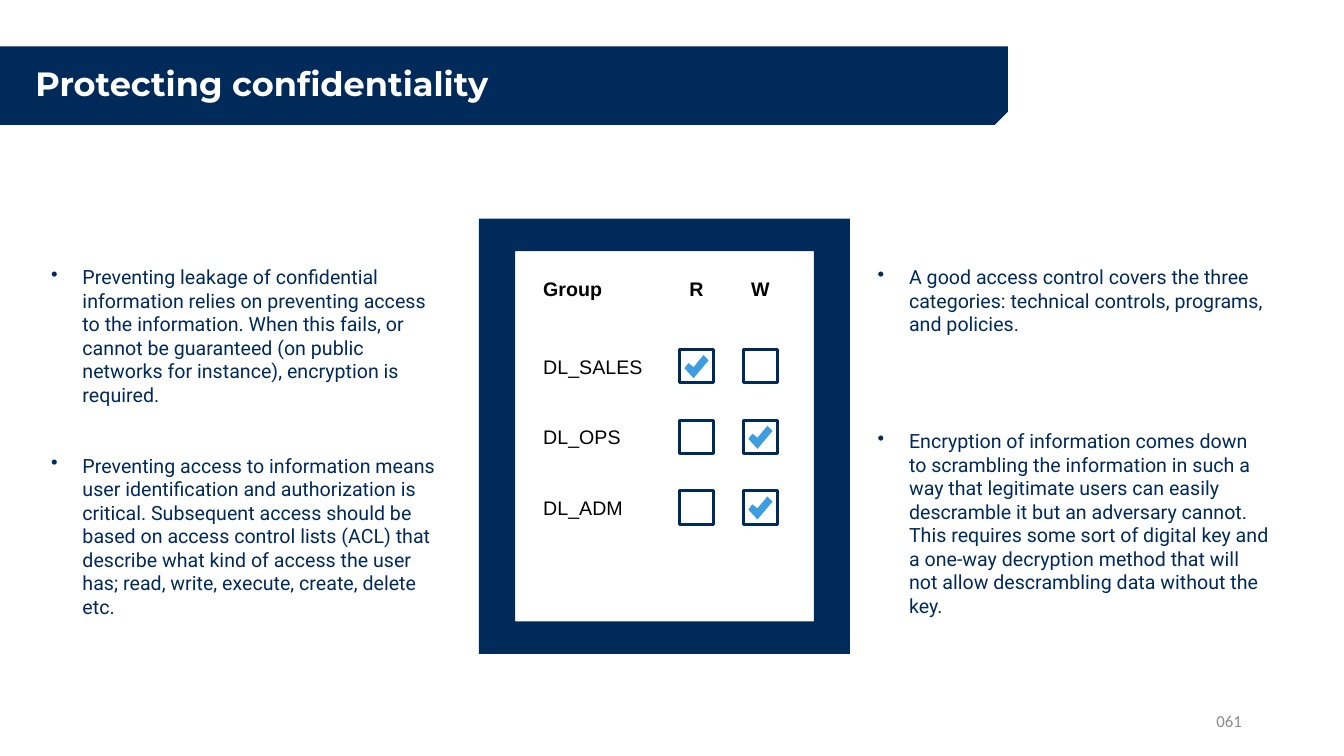
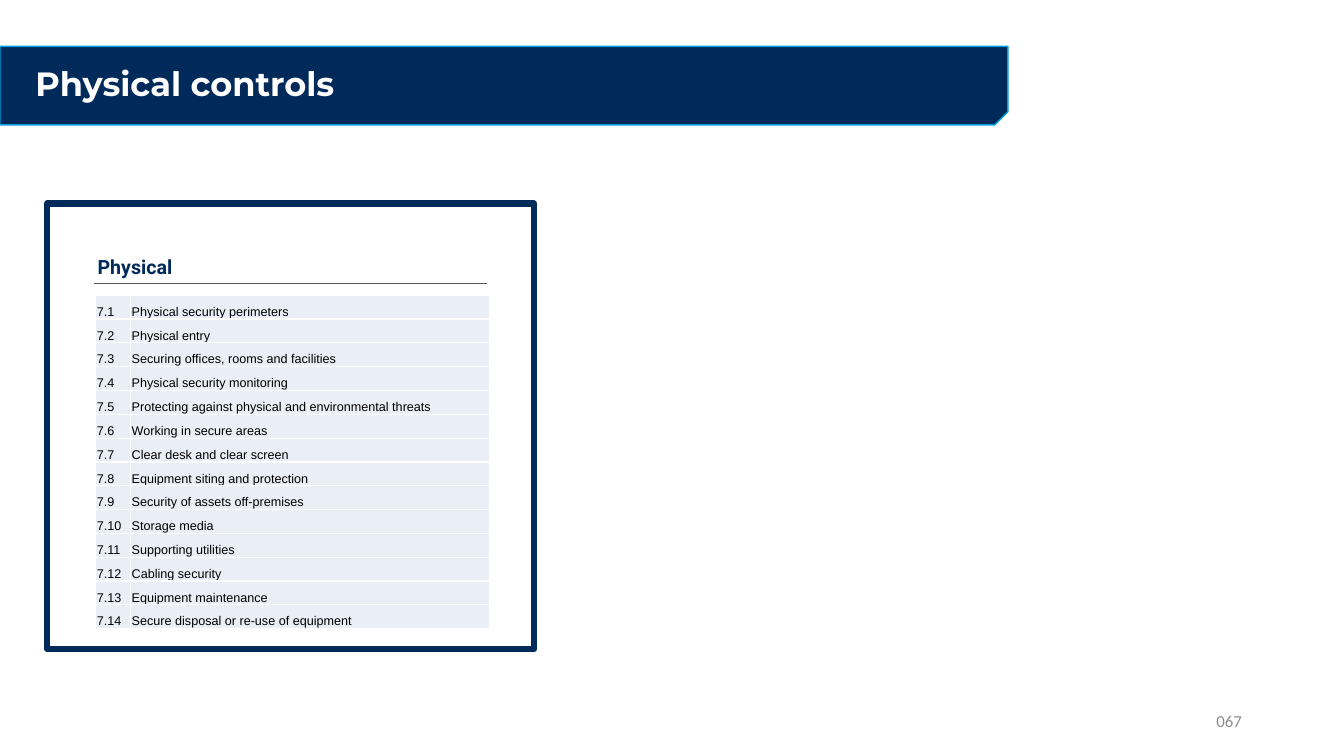
import typing

import lxml.etree
import pptx
import pptx.dml.color
import pptx.enum.shapes
import pptx.enum.text
import pptx.oxml.ns
import pptx.util

Cm = pptx.util.Cm
Pt = pptx.util.Pt
RGBColor = pptx.dml.color.RGBColor
Align = pptx.enum.text.PP_ALIGN
Anchor = pptx.enum.text.MSO_ANCHOR
Shape = pptx.enum.shapes.MSO_SHAPE
qn = pptx.oxml.ns.qn

NAVY = RGBColor(0x00, 0x2A, 0x5A)
CYAN = RGBColor(0x00, 0x9D, 0xE0)
SKY = RGBColor(0x3C, 0x9E, 0xE1)
PALE = RGBColor(0xEA, 0xEF, 0xF7)
WHITE = RGBColor(0xFF, 0xFF, 0xFF)
BLACK = RGBColor(0x00, 0x00, 0x00)
GREY = RGBColor(0x8C, 0x8C, 0x8C)
DARK_GREY = RGBColor(0x59, 0x59, 0x59)

PADDING = (0.25, 0.13)
TICK = [(0.61, 0.13), (0.48, 0), (0.23, 0.3), (0.1, 0.2), (0, 0.33), (0.23, 0.58)]

LEAKAGE_POINTS = [
    "Preventing leakage of confidential information relies on preventing access to the "
    "information. When this fails, or cannot be guaranteed (on public networks for instance), "
    "encryption is required.",
    "Preventing access to information means user identification and authorization is critical. "
    "Subsequent access should be based on access control lists (ACL) that describe what kind of "
    "access the user has; read, write, execute, create, delete etc.",
]
CONTROL_POINTS = [
    "A good access control covers the three categories: technical controls, programs, "
    "and policies.",
    "Encryption of information comes down to scrambling the information in such a way that "
    "legitimate users can easily descramble it but an adversary cannot. This requires some sort "
    "of digital key and a one-way decryption method that will not allow descrambling data "
    "without the key.",
]
PERMISSIONS = [
    ("DL_SALES", (True, False)),
    ("DL_OPS", (False, True)),
    ("DL_ADM", (False, True)),
]
PHYSICAL_CONTROLS = [
    "Physical security perimeters",
    "Physical entry",
    "Securing offices, rooms and facilities",
    "Physical security monitoring",
    "Protecting against physical and environmental threats",
    "Working in secure areas",
    "Clear desk and clear screen",
    "Equipment siting and protection",
    "Security of assets off-premises",
    "Storage media",
    "Supporting utilities",
    "Cabling security",
    "Equipment maintenance",
    "Secure disposal or re-use of equipment",
]


class Box(typing.NamedTuple):
    """A rectangle in centimetres."""
    left: float
    top: float
    width: float
    height: float

    def inner(self, left, top, width, height):
        """Return a box whose position is relative to this one."""
        return Box(self.left + left, self.top + top, width, height)

    def lengths(self):
        return [Cm(value) for value in self]


BAND = Box(0, 1.17, 25.4, 1.98)
PAGE_NUMBER = Box(23.93, 17.65, 7.62, 1.02)


def write(para, text, font="Arial", size=14, color=BLACK, bold=False, align=Align.LEFT):
    para.alignment = align
    span = para.add_run()
    span.text = text
    span.font.name = font
    span.font.size = Pt(size)
    span.font.color.rgb = color
    span.font.bold = bold


def add_frame(page, box, padding=PADDING, anchor=Anchor.TOP):
    """Add an empty wrapping text box and return its text frame."""
    frame = page.shapes.add_textbox(*box.lengths()).text_frame
    frame.word_wrap = True
    frame.vertical_anchor = anchor
    frame.margin_left = frame.margin_right = Cm(padding[0])
    frame.margin_top = frame.margin_bottom = Cm(padding[1])
    return frame


def add_label(page, box, text, padding=PADDING, anchor=Anchor.MIDDLE, **style):
    para = add_frame(page, box, padding, anchor).paragraphs[0]
    write(para, text, **style)
    return para


def paint(shape, fill=None, line=None, width=1):
    shape.shadow.inherit = False
    if fill is None:
        shape.fill.background()
    else:
        shape.fill.solid()
        shape.fill.fore_color.rgb = fill
    if line is None:
        shape.line.fill.background()
    else:
        shape.line.color.rgb = line
        shape.line.width = Pt(width)


def add_outline(page, box, contours, fill):
    """Draw closed contours whose points are relative to the box."""
    points = [[(Cm(box.left + x), Cm(box.top + y)) for x, y in contour]
              for contour in contours]
    builder = page.shapes.build_freeform(*points[0][0])
    for number, contour in enumerate(points):
        if number:
            builder.move_to(*contour[0])
        builder.add_line_segments(contour[1:], close=True)
    paint(builder.convert_to_shape(), fill)


def add_page(deck, title, number, band_line=None):
    """Add a blank slide with the title band and the page number."""
    page = deck.slides.add_slide(deck.slide_layouts[6])
    band = page.shapes.add_shape(Shape.SNIP_ROUND_RECTANGLE, *BAND.lengths())
    band.adjustments[0] = 0
    band.adjustments[1] = 0.167
    band._element.spPr.get_or_add_xfrm().set("flipV", "1")
    paint(band, NAVY, band_line)
    para = add_label(page, BAND.inner(0.64, 0, 24.13, BAND.height), title,
                     font="Montserrat", size=24, color=WHITE, bold=True)
    para.line_spacing = 0.9
    add_label(page, PAGE_NUMBER, number, font="Calibri", size=12, color=GREY, align=Align.RIGHT)
    return page


def add_bullet(para):
    properties = para._p.get_or_add_pPr()
    properties.set("marL", str(Cm(0.79)))
    properties.set("indent", str(-Cm(0.79)))
    color = lxml.etree.SubElement(properties, qn("a:buClr"))
    lxml.etree.SubElement(color, qn("a:srgbClr"), val=str(NAVY))
    lxml.etree.SubElement(properties, qn("a:buChar"), char="•")


def add_bullets(page, box, points, gap):
    frame = add_frame(page, box)
    for number, point in enumerate(points):
        para = frame.add_paragraph() if number else frame.paragraphs[0]
        add_bullet(para)
        if number:
            para.space_before = Pt(gap)
        write(para, point, font="Roboto", color=NAVY)


def add_access_list(page, box):
    """Draw the framed sheet of groups with read and write check boxes."""
    side, edge = 0.91, 0.82
    right, bottom = box.width - side, box.height - edge
    add_outline(page, box, [
        [(side, edge), (right, edge), (right, bottom), (side, bottom)],
        [(0, box.height), (box.width, box.height), (box.width, 0), (0, 0)],
    ], NAVY)

    label_left, label_width = 1.62, 3.2
    check_left, check_top, check_width, check_height = 5.05, 3.3, 0.87, 0.84
    column_step, row_step = 1.61, 1.78
    header_top = 1.33

    add_label(page, box.inner(label_left, header_top, label_width, 0.86), "Group",
              padding=(0, 0), bold=True)
    for column, letter in enumerate("RW"):
        add_label(page, box.inner(check_left + column * column_step, header_top, check_width, 0.86),
                  letter, padding=(0, 0), bold=True, align=Align.CENTER)

    for row, (group, rights) in enumerate(PERMISSIONS):
        top = check_top + row * row_step
        add_label(page, box.inner(label_left, top, label_width, check_height), group,
                  padding=(0, 0))
        for column, granted in enumerate(rights):
            check = box.inner(check_left + column * column_step, top, check_width, check_height)
            paint(page.shapes.add_shape(Shape.RECTANGLE, *check.lengths()), line=NAVY, width=2.25)
            if granted:
                add_outline(page, check.inner(0.13, 0.14, 0.61, 0.58), [TICK], SKY)


def add_rule(page, box):
    """Draw a thin line along the top of the box."""
    left, top, right = Cm(box.left), Cm(box.top), Cm(box.left + box.width)
    rule = page.shapes.add_connector(pptx.enum.shapes.MSO_CONNECTOR.STRAIGHT,
                                     left, top, right, top)
    rule.line.color.rgb = DARK_GREY
    rule.line.width = Pt(0.5)
    lxml.etree.SubElement(rule._element.spPr, qn("a:effectLst"))


def fill_cell(cell, text):
    properties = cell._tc.get_or_add_tcPr()
    for edge in ("a:lnL", "a:lnR", "a:lnT", "a:lnB"):
        line = lxml.etree.SubElement(properties, qn(edge), w=str(Pt(1)))
        fill = lxml.etree.SubElement(line, qn("a:solidFill"))
        lxml.etree.SubElement(fill, qn("a:srgbClr"), val=str(WHITE))
    cell.fill.solid()
    cell.fill.fore_color.rgb = PALE
    cell.vertical_anchor = Anchor.BOTTOM
    cell.margin_left = cell.margin_right = cell.margin_top = Cm(0.03)
    cell.margin_bottom = 0
    write(cell.text_frame.paragraphs[0], text, size=9)


def add_control_table(page, box):
    table = page.shapes.add_table(len(PHYSICAL_CONTROLS), 2, *box.lengths()).table
    table.first_row = table.horz_banding = False
    number_width = 0.88
    table.columns[0].width = Cm(number_width)
    table.columns[1].width = Cm(box.width - number_width)
    for number, control in enumerate(PHYSICAL_CONTROLS, 1):
        row = table.rows[number - 1]
        row.height = Cm(box.height / len(PHYSICAL_CONTROLS))
        fill_cell(row.cells[0], f"7.{number}")
        fill_cell(row.cells[1], control)


def add_control_panel(page, box):
    """Draw the bordered panel with its heading, rule and table."""
    paint(page.shapes.add_shape(Shape.RECTANGLE, *box.lengths()), line=NAVY, width=4.5)
    add_label(page, box.inner(1.02, 1.17, 4, 0.86), "Physical", anchor=Anchor.TOP,
              font="Roboto", color=NAVY, bold=True)
    add_rule(page, box.inner(1.17, 2.01, 9.91, 0))
    add_control_table(page, box.inner(1.22, 2.31, 9.92, 8.41))


def main():
    deck = pptx.Presentation()
    deck.slide_width = Cm(33.87)
    deck.slide_height = Cm(19.05)

    page = add_page(deck, "Protecting confidentiality", "061")
    add_access_list(page, Box(12.07, 5.51, 9.35, 10.97))
    add_bullets(page, Box(1.04, 6.55, 10.39, 9.83), LEAKAGE_POINTS, gap=33.8)
    add_bullets(page, Box(21.87, 6.55, 10.39, 9.25), CONTROL_POINTS, gap=66.8)

    page = add_page(deck, "Physical controls", "067", band_line=CYAN)
    add_control_panel(page, Box(1.19, 5.13, 12.27, 11.23))

    deck.save("out.pptx")


if __name__ == "__main__":
    main()
